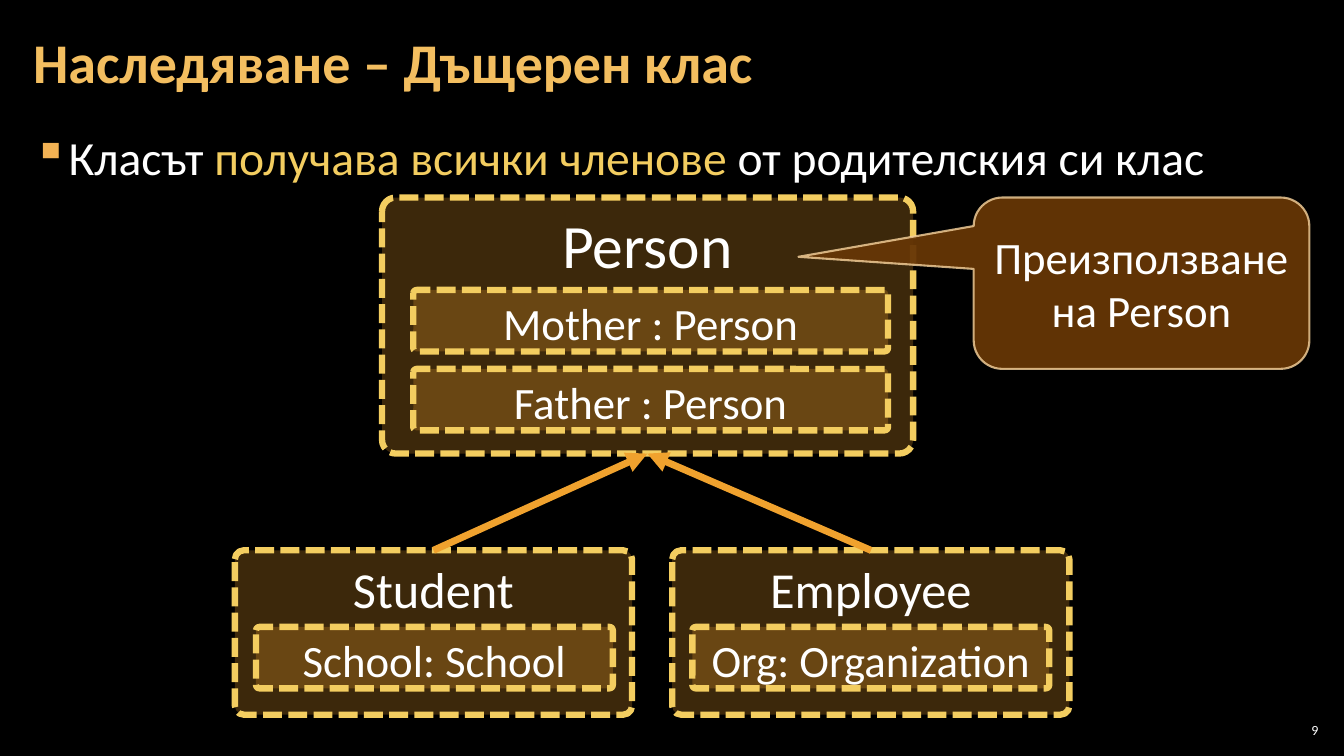
import pptx
import pptx.util
import pptx.dml.color
import pptx.enum.dml
import pptx.enum.shapes
import pptx.enum.text
import pptx.oxml.ns
import lxml.etree

Pt = pptx.util.Pt
RGB = pptx.dml.color.RGBColor
SHAPE = pptx.enum.shapes.MSO_SHAPE
ALIGN = pptx.enum.text.PP_ALIGN
ANCHOR = pptx.enum.text.MSO_ANCHOR
qn = pptx.oxml.ns.qn

BLACK = RGB(0x00, 0x00, 0x00)
WHITE = RGB(0xFF, 0xFF, 0xFF)
ORANGE = RGB(0xF0, 0xA2, 0x2E)
YELLOW = RGB(0xF3, 0xCD, 0x60)
GOLD = RGB(0xF3, 0xBE, 0x60)
BROWN = RGB(0x66, 0x36, 0x06)
CREAM = RGB(0xF8, 0xD4, 0x9E)


def set_text(shape, runs, size, anchor, align, insets=(7.2, 3.6)):
    """Write coloured runs as one paragraph and return the paragraph."""
    frame = shape.text_frame
    frame.word_wrap = True
    frame.vertical_anchor = anchor
    frame.margin_left = frame.margin_right = Pt(insets[0])
    frame.margin_top = frame.margin_bottom = Pt(insets[1])
    para = frame.paragraphs[0]
    para.alignment = align
    para.font.name = "Calibri"
    para.font.size = Pt(size)
    for text, color in runs:
        run = para.add_run()
        run.text = text
        run.font.color.rgb = color
    return para


def paint(part, color, alpha):
    """Give a fill format a solid colour with an opacity in percent."""
    part.solid()
    part.fore_color.rgb = color
    node = part._xPr.find(qn("a:solidFill"))[0]
    lxml.etree.SubElement(node, qn("a:alpha"), val=str(alpha * 1000))


deck = pptx.Presentation()
deck.slide_width, deck.slide_height = Pt(960), Pt(540)
slide = deck.slides.add_slide(deck.slide_layouts[6])
slide.background.fill.solid()
slide.background.fill.fore_color.rgb = BLACK
shapes = slide.shapes

# Slide number
box = shapes.add_textbox(Pt(910.8), Pt(514.1), Pt(33.8), Pt(15.1))
set_text(box, [("9", WHITE)], 10, ANCHOR.MIDDLE, ALIGN.RIGHT, (2.9, 2.9))

# Bullet line
box = shapes.add_textbox(Pt(15.1), Pt(84.2), Pt(929.5), Pt(438.5))
para = set_text(box, [
    ("Класът ", WHITE),
    ("получава всички членове ", YELLOW),
    ("от родителския си клас", WHITE),
], 34, ANCHOR.TOP, ALIGN.LEFT, (8.6, 2.9))
props = para._p.get_or_add_pPr()
props.set("marL", str(Pt(23.8)))
props.set("indent", str(-Pt(23.8)))
mark = lxml.etree.Element(qn("a:buClr"))
lxml.etree.SubElement(mark, qn("a:srgbClr"), val="F2B254")
char = lxml.etree.Element(qn("a:buChar"), char="▪")
props.insert(0, mark)
props.insert(1, char)
para.line_spacing = 1.1
para.space_after = Pt(6)

# Title
box = shapes.add_textbox(Pt(15.1), Pt(2.9), Pt(753.8), Pt(87.1))
para = set_text(box, [("Наследяване – Дъщерен клас", GOLD)], 40,
                ANCHOR.MIDDLE, ALIGN.LEFT, (8.6, 2.9))
para.line_spacing = 0.9
para.font.bold = True

# Class boxes, then the members inside them
for name, size, left, top, width, height in [
    ("Person", 44, 272.9, 141.1, 379.4, 182.9),
    ("Student", 36, 167.8, 393.1, 283.7, 117.4),
    ("Employee", 36, 480.2, 393.1, 283.7, 117.4),
    ("Mother : Person", 32, 295.2, 207.1, 339.1, 43.9),
    ("Father : Person", 32, 295.2, 263.5, 339.1, 43.9),
    ("School: School", 32, 182.9, 447.8, 254.9, 43.9),
    ("Org: Organization", 32, 494.6, 447.8, 254.9, 43.9),
]:
    box = shapes.add_shape(SHAPE.ROUNDED_RECTANGLE,
                           Pt(left), Pt(top), Pt(width), Pt(height))
    box.adjustments[0] = 0.054
    box.shadow.inherit = False
    paint(box.fill, ORANGE, 25)
    box.line.color.rgb = YELLOW
    box.line.width = Pt(4.5)
    box.line.dash_style = pptx.enum.dml.MSO_LINE.SQUARE_DOT
    set_text(box, [(name, WHITE)], size, ANCHOR.TOP, ALIGN.CENTER)

# Arrows from the child classes to the parent
for start in (309.6, 622.1):
    arrow = shapes.add_connector(pptx.enum.shapes.MSO_CONNECTOR.STRAIGHT,
                                 Pt(start), Pt(393.1), Pt(462.4), Pt(324))
    arrow.line.color.rgb = ORANGE
    arrow.line.width = Pt(5)
    lxml.etree.SubElement(arrow.line._get_or_add_ln(), qn("a:tailEnd"),
                          type="triangle")
    lxml.etree.SubElement(arrow._element.spPr, qn("a:effectLst"))

# Callout
note = shapes.add_shape(SHAPE.ROUNDED_RECTANGULAR_CALLOUT,
                        Pt(695.5), Pt(141.1), Pt(239.8), Pt(122.4))
for index, value in enumerate((-1.022, -0.154, 0.167)):
    note.adjustments[index] = value
note.shadow.inherit = False
paint(note.fill, BROWN, 95)
note.line.width = Pt(1.5)
paint(note.line.fill, CREAM, 80)
set_text(note, [("Преизползване на Person", WHITE)], 32,
         ANCHOR.MIDDLE, ALIGN.CENTER)

deck.save("out.pptx")
